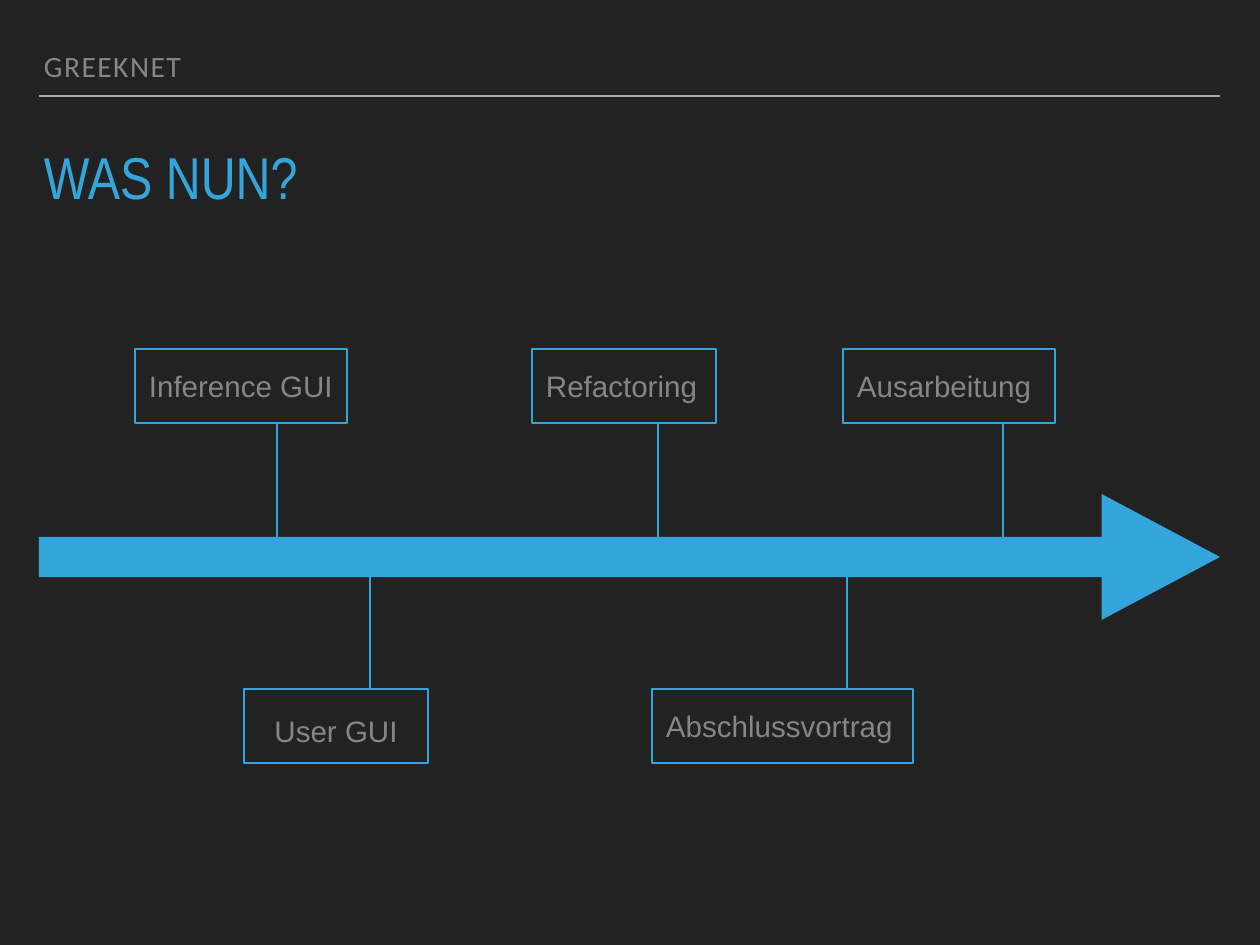
import pptx
import pptx.dml.color
import pptx.enum.shapes
import pptx.enum.text
import pptx.oxml.ns
import pptx.util
from dataclasses import dataclass
from lxml import etree

EMU_PER_PX = 10321
SHAPE = pptx.enum.shapes.MSO_SHAPE
ANCHOR = pptx.enum.text.MSO_ANCHOR
ALIGN = pptx.enum.text.PP_ALIGN


@dataclass(frozen=True)
class Theme:
    background: str = "222222"
    accent: str = "34A5DA"
    text: str = "838787"
    rule: str = "A6AAA9"
    title_font: str = "Arial Narrow"
    header_font: str = "Calibri"
    label_font: str = "Arial"
    title_size: int = 48
    body_size: int = 24
    line_width: int = 2


THEME = Theme()

# Timeline geometry in px
LEFT, WIDTH = 39, 1181
INSET = 5
BOX_HEIGHT, BOX_INSET = 74, 14
UPPER_TOP, LOWER_TOP = 349, 689
BAR_TOP, BAR_BOTTOM = 538, 577

# Label, box left, box width, stem x, format
UPPER_STEPS = [
    ("Inference GUI", 135, 212, 277, {}),
    ("Refactoring", 532, 184, 658, {}),
    ("Ausarbeitung", 843, 212, 1003, {}),
]
LOWER_STEPS = [
    ("User GUI", 244, 184, 370, {"align": ALIGN.CENTER, "insets": (0, 10, 0, 0)}),
    ("Abschlussvortrag", 652, 261, 847, {}),
]


def px(*values):
    return [pptx.util.Emu(v * EMU_PER_PX) for v in values]


def rgb(color):
    return pptx.dml.color.RGBColor.from_string(color)


def write_text(sp, text, font=THEME.label_font, size=THEME.body_size,
               color=THEME.text, align=ALIGN.LEFT, anchor=ANCHOR.MIDDLE,
               insets=(INSET,) * 4, line_spacing=None, before=None, tracking=None):
    tf = sp.text_frame
    tf.word_wrap = True
    tf.auto_size = pptx.enum.text.MSO_AUTO_SIZE.NONE
    tf.vertical_anchor = anchor
    tf.margin_left, tf.margin_top, tf.margin_right, tf.margin_bottom = px(*insets)
    p = tf.paragraphs[0]
    p.alignment = align
    if line_spacing is not None:
        p.line_spacing = line_spacing
    if before is not None:
        p.space_before = pptx.util.Pt(before)
    r = p.add_run()
    r.text = text
    r.font.name = font
    r.font.size = pptx.util.Pt(size)
    r.font.color.rgb = rgb(color)
    if tracking is not None:
        r.font._element.set("spc", str(tracking))


def add_line(slide, x1, y1, x2, y2, color=THEME.accent):
    cxn = slide.shapes.add_connector(
        pptx.enum.shapes.MSO_CONNECTOR.STRAIGHT, *px(x1, y1, x2, y2))
    cxn.line.color.rgb = rgb(color)
    cxn.line.width = pptx.util.Pt(THEME.line_width)
    etree.SubElement(cxn._element.spPr, pptx.oxml.ns.qn("a:effectLst"))


def add_header(slide):
    add_line(slide, LEFT, 96, LEFT + WIDTH, 96, THEME.rule)
    sp = slide.shapes.add_textbox(*px(LEFT, 44, 1083, 44))
    write_text(sp, "GREEKNET", font=THEME.header_font, anchor=ANCHOR.BOTTOM,
               line_spacing=0.8, tracking=120)


def add_title(slide):
    sp = slide.shapes.title
    sp.left, sp.top, sp.width, sp.height = px(LEFT, 149, WIDTH, 70)
    write_text(sp, "WAS NUN?", font=THEME.title_font, size=THEME.title_size,
               color=THEME.accent, anchor=ANCHOR.TOP, line_spacing=0.8, before=22)


def add_arrow(slide):
    sp = slide.shapes.add_shape(SHAPE.RIGHT_ARROW, *px(LEFT, 494, WIDTH, 126))
    sp.adjustments[0], sp.adjustments[1] = 0.32, 0.94
    sp.shadow.inherit = False
    sp.fill.solid()
    sp.fill.fore_color.rgb = rgb(THEME.accent)
    sp.line.fill.background()


def add_step(slide, label, left, top, width, text_format):
    sp = slide.shapes.add_shape(SHAPE.RECTANGLE, *px(left, top, width, BOX_HEIGHT))
    sp.shadow.inherit = False
    sp.fill.background()
    sp.line.color.rgb = rgb(THEME.accent)
    sp.line.width = pptx.util.Pt(THEME.line_width)
    write_text(sp, label, **{"insets": (BOX_INSET, 0, 0, 0), **text_format})


def main():
    prs = pptx.Presentation()
    prs.slide_width, prs.slide_height = px(1260, 945)
    slide = prs.slides.add_slide(prs.slide_layouts[5])
    slide.background.fill.solid()
    slide.background.fill.fore_color.rgb = rgb(THEME.background)

    # Header and title
    add_header(slide)
    add_title(slide)

    # Timeline with steps above and below
    add_arrow(slide)
    for label, left, width, stem, text_format in UPPER_STEPS:
        add_step(slide, label, left, UPPER_TOP, width, text_format)
        add_line(slide, stem, UPPER_TOP + BOX_HEIGHT, stem, BAR_TOP)
    for label, left, width, stem, text_format in LOWER_STEPS:
        add_step(slide, label, left, LOWER_TOP, width, text_format)
        add_line(slide, stem, BAR_BOTTOM, stem, LOWER_TOP)

    prs.save("out.pptx")


if __name__ == "__main__":
    main()
